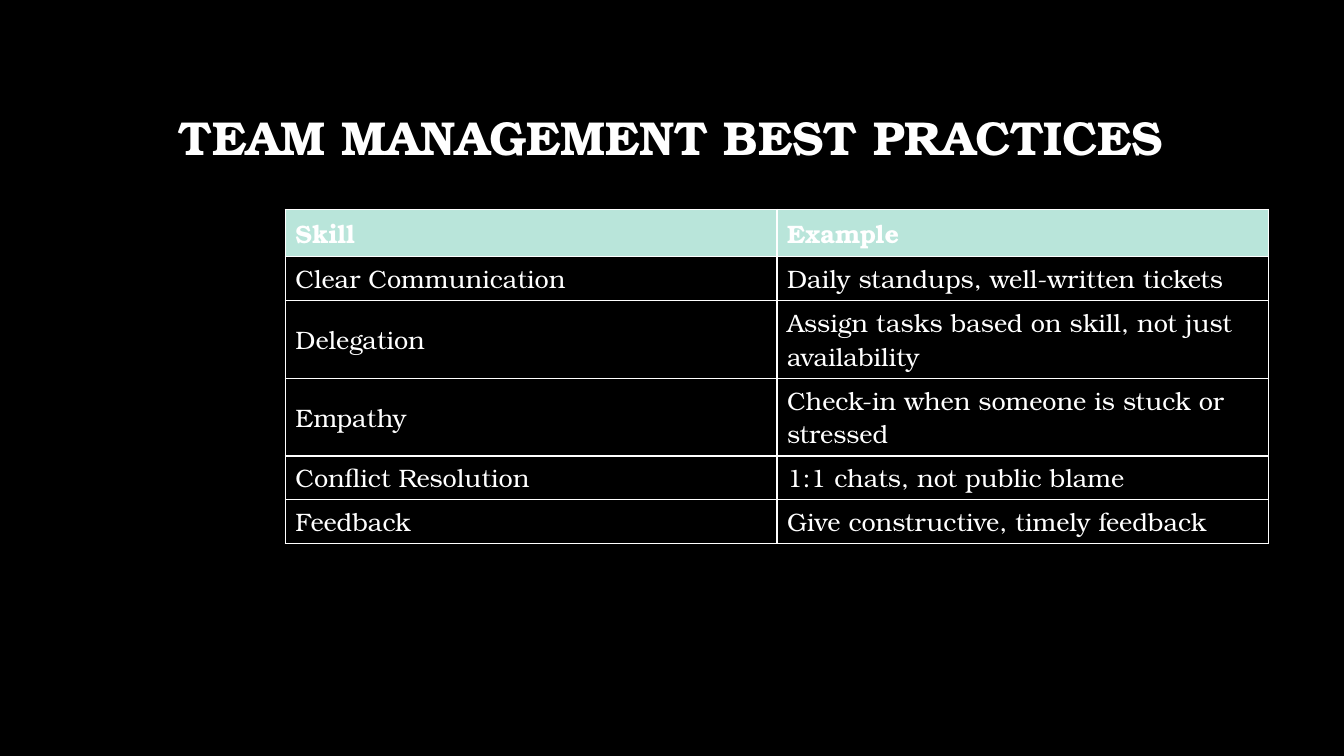
from lxml import etree
from pptx import Presentation
from pptx.dml.color import RGBColor
from pptx.enum import text
from pptx.oxml import ns
from pptx.util import Cm, Pt

BLACK = RGBColor(0x00, 0x00, 0x00)
WHITE = RGBColor(0xFF, 0xFF, 0xFF)
MINT = RGBColor(0xB9, 0xE5, 0xDA)
FONT = "TeX Gyre Bonum"

PRACTICES = [
    ("Skill", "Example"),
    ("Clear Communication", "Daily standups, well-written tickets"),
    ("Delegation", "Assign tasks based on skill, not just availability"),
    ("Empathy", "Check-in when someone is stuck or stressed"),
    ("Conflict Resolution", "1:1 chats, not public blame"),
    ("Feedback", "Give constructive, timely feedback"),
]
ROW_HEIGHTS = [1.19, 1.1, 1.96, 1.96, 1.1, 1.1]
COLUMN_WIDTH = 12.39


def style_paragraph(paragraph, size, bold):
    font = paragraph.font
    font.name = FONT
    font.size = Pt(size)
    font.bold = bold
    font.color.rgb = WHITE


def add_title(page, wording):
    box = page.shapes.add_textbox(Cm(2.54), Cm(1.7), Cm(28.75), Cm(3.68))
    frame = box.text_frame
    frame.word_wrap = True
    frame.vertical_anchor = text.MSO_ANCHOR.MIDDLE
    paragraph = frame.paragraphs[0]
    paragraph.text = wording
    paragraph.alignment = text.PP_ALIGN.CENTER
    paragraph.line_spacing = 0.9
    style_paragraph(paragraph, 34, True)


def add_borders(cell):
    properties = cell._tc.get_or_add_tcPr()
    for side in ("a:lnL", "a:lnR", "a:lnT", "a:lnB"):
        line = etree.SubElement(properties, ns.qn(side), w=str(Pt(1)))
        fill = etree.SubElement(line, ns.qn("a:solidFill"))
        etree.SubElement(fill, ns.qn("a:srgbClr"), val=str(WHITE))


def fill_cell(cell, wording, is_header):
    cell.text = wording
    cell.vertical_anchor = text.MSO_ANCHOR.MIDDLE
    style_paragraph(cell.text_frame.paragraphs[0], 18, is_header)
    add_borders(cell)
    if is_header:
        cell.fill.solid()
        cell.fill.fore_color.rgb = MINT
    else:
        cell.fill.background()


def add_practice_table(page):
    frame = page.shapes.add_table(
        len(PRACTICES), 2, Cm(7.19), Cm(5.28),
        Cm(2 * COLUMN_WIDTH), Cm(sum(ROW_HEIGHTS)))
    table = frame.table
    table.horz_banding = False
    for column in table.columns:
        column.width = Cm(COLUMN_WIDTH)
    for index, (practice, height) in enumerate(zip(PRACTICES, ROW_HEIGHTS)):
        table.rows[index].height = Cm(height)
        for cell, wording in zip(table.rows[index].cells, practice):
            fill_cell(cell, wording, index == 0)


def main():
    deck = Presentation()
    deck.slide_width = Cm(33.87)
    deck.slide_height = Cm(19.05)
    page = deck.slides.add_slide(deck.slide_layouts[6])
    page.background.fill.solid()
    page.background.fill.fore_color.rgb = BLACK
    add_title(page, "TEAM MANAGEMENT BEST PRACTICES")
    add_practice_table(page)
    deck.save("out.pptx")


if __name__ == "__main__":
    main()
